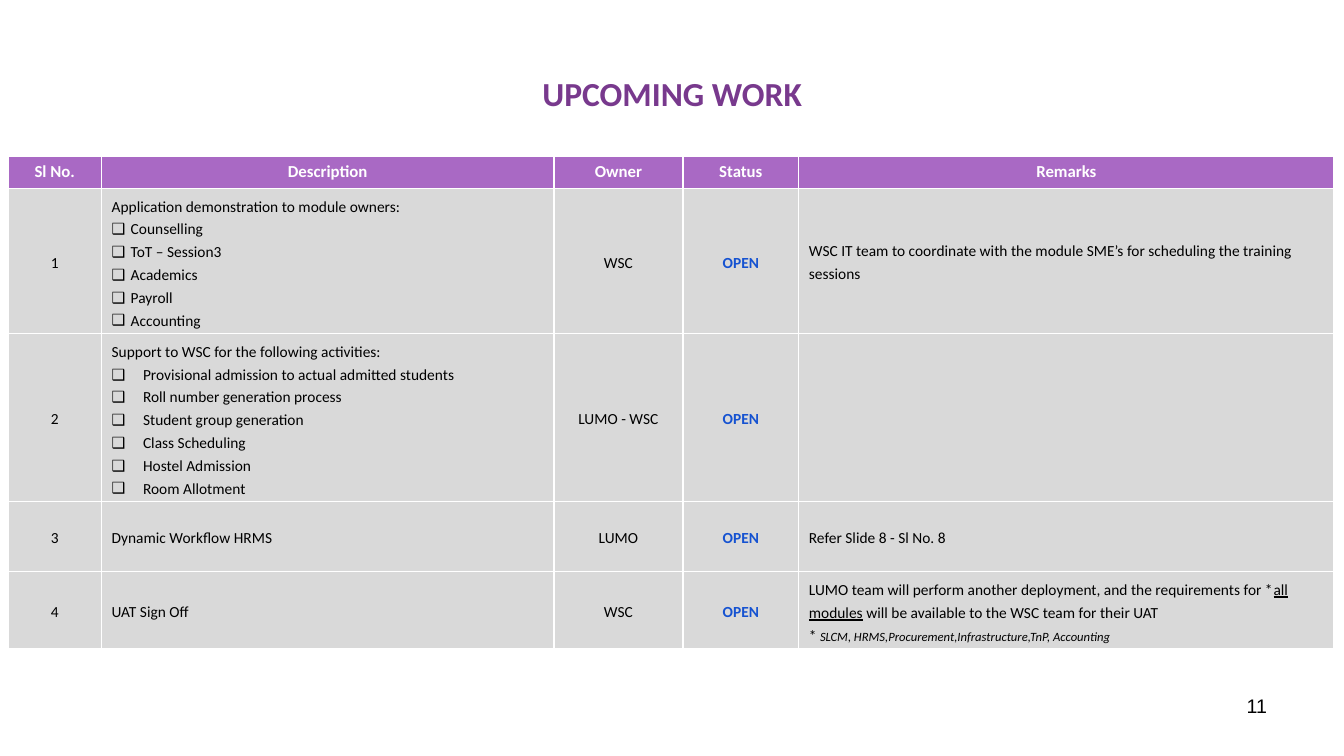
"""Build the slide that lists upcoming work in a status table."""
from dataclasses import dataclass

from lxml import etree
from pptx import Presentation
from pptx import util as u
from pptx.dml import color
from pptx.enum import text
from pptx.oxml import ns

PURPLE, LILAC, GREY, BLUE = "78398D", "A969C4", "D9D9D9", "1552D1"
BLACK, WHITE = "000000", "FFFFFF"
LEFT, CENTER, RIGHT = text.PP_ALIGN.LEFT, text.PP_ALIGN.CENTER, text.PP_ALIGN.RIGHT


@dataclass(frozen=True)
class Run:
    text: str
    size: float = 11
    italic: bool = False
    underline: bool = False


@dataclass(frozen=True)
class Line:
    runs: tuple[Run, ...]
    indent: float = 0


@dataclass(frozen=True)
class Task:
    description: tuple[Line, ...]
    owner: str
    remarks: tuple[Line, ...] = ()
    status: str = "OPEN"


def line(content: str) -> Line:
    """Return a line with a single plain run."""
    return Line((Run(content),))


def checklist(heading: str, indent: float, *items: str) -> tuple[Line, ...]:
    """Return a heading followed by bulleted lines."""
    return (line(heading), *(Line((Run(item),), indent) for item in items))


HEADINGS = ("Sl No.", "Description", "Owner", "Status", "Remarks")
COLUMN_WIDTHS = (2.36, 11.4, 3.25, 2.92, 13.49)
ROW_HEIGHTS = (0.81, 3.66, 4.22, 1.78, 1.93)
TASKS = (
    Task(
        checklist("Application demonstration to module owners:", 0.48,
                  "Counselling", "ToT – Session3", "Academics", "Payroll", "Accounting"),
        "WSC",
        (line("WSC IT team to coordinate with the module SME’s for scheduling "
              "the training sessions"),),
    ),
    Task(
        checklist("Support to WSC for the following activities:", 0.79,
                  "Provisional admission to actual admitted students",
                  "Roll number generation process", "Student group generation",
                  "Class Scheduling", "Hostel Admission", "Room Allotment"),
        "LUMO - WSC",
    ),
    Task((line("Dynamic Workflow HRMS"),), "LUMO", (line("Refer Slide 8 - Sl No. 8"),)),
    Task(
        (line("UAT Sign Off"),),
        "WSC",
        (
            Line((
                Run("LUMO team will perform another deployment, and the requirements for *"),
                Run("all modules", underline=True),
                Run(" will be available to the WSC team for their UAT"),
            )),
            Line((
                Run("* "),
                Run("SLCM, HRMS,Procurement,Infrastructure,TnP, Accounting", 9, italic=True),
            )),
        ),
    ),
)


def rgb(value: str) -> color.RGBColor:
    """Return the colour for a hex string."""
    return color.RGBColor.from_string(value)


def add_text(paragraph, content: str, *, size: float = 11, font: str = "Calibri",
             colour: str = BLACK, bold: bool = False, italic: bool = False,
             underline: bool = False) -> None:
    """Append a formatted run to a paragraph."""
    run = paragraph.add_run()
    run.text = content
    run.font.size, run.font.name = u.Pt(size), font
    run.font.bold, run.font.italic, run.font.underline = bold, italic, underline
    run.font.color.rgb = rgb(colour)


def add_box(slide, content: str, left: float, top: float, width: float, height: float,
            align, anchor, **style) -> None:
    """Place a one-line text box, measured in centimetres."""
    box = slide.shapes.add_textbox(u.Cm(left), u.Cm(top), u.Cm(width), u.Cm(height))
    box.text_frame.word_wrap = True
    box.text_frame.vertical_anchor = anchor
    paragraph = box.text_frame.paragraphs[0]
    paragraph.alignment = align
    add_text(paragraph, content, **style)


def set_bullet(paragraph, indent: float) -> None:
    """Give a paragraph a hanging checkbox bullet."""
    properties = paragraph._p.get_or_add_pPr()
    properties.set("marL", str(u.Cm(indent)))
    properties.set("indent", str(-u.Cm(indent)))
    etree.SubElement(properties, ns.qn("a:buFont")).set("typeface", "Arial")
    etree.SubElement(properties, ns.qn("a:buChar")).set("char", "❑")


def style_cell(cell, fill: str) -> None:
    """Draw white borders round a cell and fill it."""
    properties = cell._tc.get_or_add_tcPr()
    for side in ("lnL", "lnR", "lnT", "lnB"):
        border = etree.SubElement(properties, ns.qn(f"a:{side}"), w=str(u.Pt(1)))
        solid = etree.SubElement(border, ns.qn("a:solidFill"))
        etree.SubElement(solid, ns.qn("a:srgbClr")).set("val", WHITE)
    cell.fill.solid()
    cell.fill.fore_color.rgb = rgb(fill)


def fill_cell(cell, lines: tuple[Line, ...], align=LEFT, **style) -> None:
    """Write lines into a body cell."""
    style_cell(cell, GREY)
    cell.vertical_anchor = text.MSO_ANCHOR.MIDDLE
    for index, entry in enumerate(lines):
        frame = cell.text_frame
        paragraph = frame.add_paragraph() if index else frame.paragraphs[0]
        paragraph.alignment = align
        paragraph.line_spacing = 1.2
        if entry.indent:
            set_bullet(paragraph, entry.indent)
        for run in entry.runs:
            add_text(paragraph, run.text, size=run.size, italic=run.italic,
                     underline=run.underline, **style)


def add_task_table(slide) -> None:
    """Add the table of tasks."""
    table = slide.shapes.add_table(
        len(ROW_HEIGHTS), len(COLUMN_WIDTHS), u.Cm(0.2), u.Cm(3.94),
        u.Cm(sum(COLUMN_WIDTHS)), u.Cm(sum(ROW_HEIGHTS))).table
    table.horz_banding = False
    for column, width in zip(table.columns, COLUMN_WIDTHS):
        column.width = u.Cm(width)
    for row, height in zip(table.rows, ROW_HEIGHTS):
        row.height = u.Cm(height)
    for index, heading in enumerate(HEADINGS):
        cell = table.cell(0, index)
        style_cell(cell, LILAC)
        paragraph = cell.text_frame.paragraphs[0]
        paragraph.alignment = CENTER
        add_text(paragraph, heading, size=12, colour=WHITE, bold=True)
    for number, task in enumerate(TASKS, 1):
        serial, description, owner, status, remarks = table.rows[number].cells
        fill_cell(serial, (line(str(number)),), CENTER)
        fill_cell(description, task.description)
        fill_cell(owner, (line(task.owner),), CENTER)
        fill_cell(status, (line(task.status),), CENTER, colour=BLUE, bold=True)
        fill_cell(remarks, task.remarks)


def main() -> None:
    """Build and save the presentation."""
    presentation = Presentation()
    presentation.slide_width, presentation.slide_height = u.Cm(33.87), u.Cm(19.05)
    slide = presentation.slides.add_slide(presentation.slide_layouts[6])
    add_box(slide, "UPCOMING WORK", 1.7, 0.76, 30.48, 3.18, CENTER,
            text.MSO_ANCHOR.MIDDLE, size=24, colour=PURPLE, bold=True)
    add_box(slide, "11", 24.28, 17.35, 7.9, 1.32, RIGHT,
            text.MSO_ANCHOR.TOP, size=14, font="Arial")
    add_task_table(slide)
    presentation.save("out.pptx")


if __name__ == "__main__":
    main()
